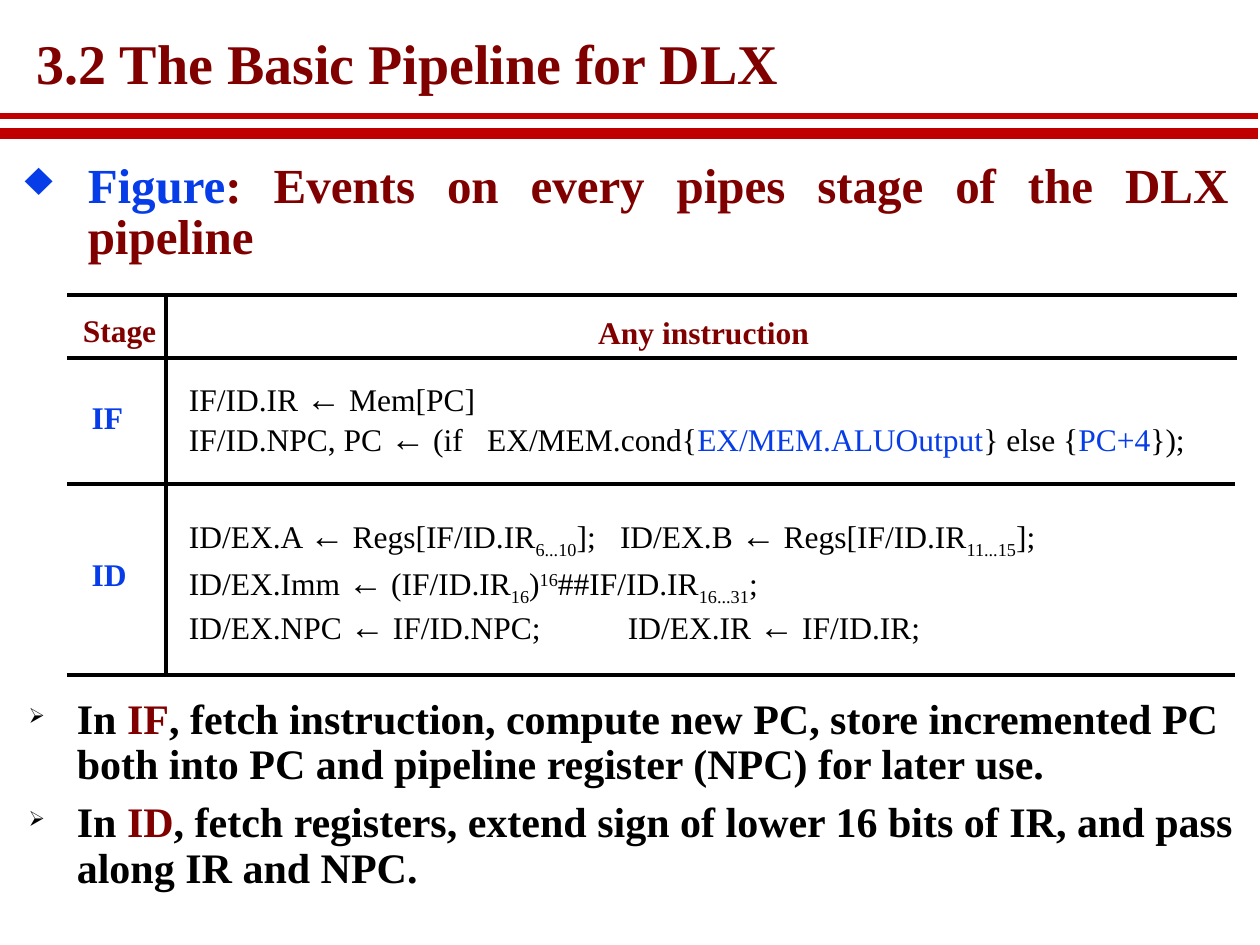
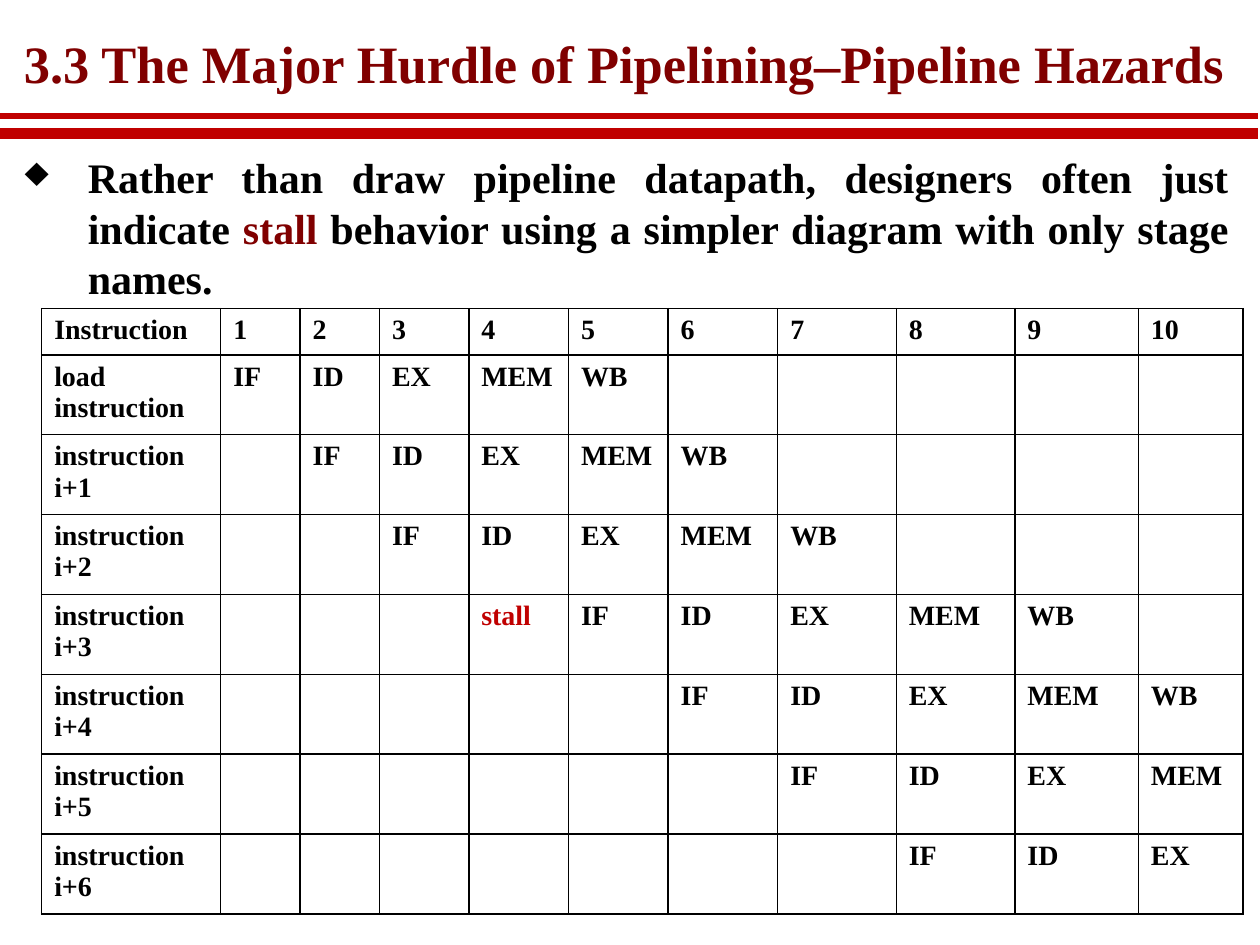
from lxml.etree import SubElement
from pptx import Presentation
from pptx.dml.color import RGBColor
from pptx.enum.shapes import MSO_CONNECTOR as Connector
from pptx.enum.text import MSO_ANCHOR as Anchor, PP_ALIGN as Align
from pptx.oxml.ns import qn
from pptx.util import Cm, Pt

FONT = "Times New Roman"
MAROON, RED, BLUE = "800000", "C00000", "063DE8"
BLACK, WHITE = "000000", "FFFFFF"
PAGE_WIDTH, PAGE_HEIGHT = 25.4, 19.05

ARROW = ("←", {"size": 20})
STAGES = ["IF", "ID", "EX", "MEM", "WB"]
CYCLES = 10


def rgb(value):
    return RGBColor.from_string(value)


def sub(text):
    return (text, {"baseline": -25})


def sup(text):
    return (text, {"baseline": 30})


def blue(text):
    return (text, {"color": BLUE})


def maroon(text):
    return (text, {"color": MAROON})


def add_span(para, text, size=18, color=BLACK, bold=False, baseline=0):
    span = para.add_run()
    span.text = text
    font = span.font
    font.name, font.size, font.bold = FONT, Pt(size), bold
    font.color.rgb = rgb(color)
    if baseline:
        span._r.get_or_add_rPr().set("baseline", str(baseline * 1000))


def write_para(para, spans, **style):
    """Write strings and (string, changes) pairs in one base style."""
    for item in [spans] if isinstance(spans, str) else spans:
        text, changes = (item, {}) if isinstance(item, str) else item
        add_span(para, text, **{**style, **changes})


def set_bullet(para, symbol, indent, percent=100):
    props = para._p.get_or_add_pPr()
    props.set("marL", str(Cm(indent)))
    props.set("indent", str(-Cm(indent)))
    SubElement(props, qn("a:buSzPct"), val=str(percent * 1000))
    SubElement(props, qn("a:buChar"), char=symbol)


def set_tab(para, position):
    stops = SubElement(para._p.get_or_add_pPr(), qn("a:tabLst"))
    SubElement(stops, qn("a:tab"), pos=str(Cm(position)), algn="l")


def add_box(page, left, top, width, height):
    box = page.shapes.add_textbox(Cm(left), Cm(top), Cm(width), Cm(height))
    box.text_frame.word_wrap = True
    return box


def add_text(page, left, top, width, height, spans, spacing=None, **style):
    box = add_box(page, left, top, width, height)
    para = box.text_frame.paragraphs[0]
    para.line_spacing = spacing
    write_para(para, spans, **style)
    return box


def add_line(page, x1, y1, x2, y2, color=BLACK, weight=2.25):
    line = page.shapes.add_connector(
        Connector.STRAIGHT, Cm(x1), Cm(y1), Cm(x2), Cm(y2))
    line.line.color.rgb = rgb(color)
    line.line.width = Pt(weight)
    SubElement(line._element.spPr, qn("a:effectLst"))


def add_page(deck, title, left, size):
    """Add a page with its title and the double red rule."""
    page = deck.slides.add_slide(deck.slide_layouts[6])
    box = add_text(page, left, 0.64, PAGE_WIDTH - left, 1.42, title,
                   spacing=0.87, size=size, color=MAROON, bold=True)
    frame = box.text_frame
    frame.vertical_anchor = Anchor.MIDDLE
    frame.margin_left = frame.margin_right = Cm(0.18)
    frame.margin_top = frame.margin_bottom = Cm(0.08)
    for y, weight in ((2.69, 6), (2.34, 3)):
        add_line(page, 0, y, 25.35, y, RED, weight)
    return page


def add_lead(page, top, height, spans, **style):
    """Add the justified diamond bullet under the title."""
    box = add_text(page, 0.25, top, 24.77, height, spans,
                   spacing=Pt(29), bold=True, **style)
    para = box.text_frame.paragraphs[0]
    para.alignment = Align.JUSTIFY
    set_bullet(para, "♦", 1.27)


def add_formulas(page, top, step, formulas):
    for index, (spans, tab) in enumerate(formulas):
        box = add_text(page, 3.56, top + index * step, 21.2, 0.94, spans,
                       spacing=0.8)
        if tab:
            set_tab(box.text_frame.paragraphs[0], tab)


def add_notes_on_stages(page, items):
    box = add_box(page, 0.33, 13.95, 24.77, 4.27)
    box.fill.solid()
    box.fill.fore_color.rgb = rgb(WHITE)
    frame = box.text_frame
    for index, spans in enumerate(items):
        para = frame.add_paragraph() if index else frame.paragraphs[0]
        para.line_spacing = 0.9
        if index:
            para.space_before = Pt(7.2)
        set_bullet(para, "➢", 0.97, percent=50)
        write_para(para, spans, size=24, bold=True)


def set_borders(cell):
    props = cell._tc.get_or_add_tcPr()
    for side in ("lnL", "lnR", "lnT", "lnB"):
        edge = SubElement(props, qn(f"a:{side}"), w=str(Pt(1)))
        fill = SubElement(edge, qn("a:solidFill"))
        SubElement(fill, qn("a:srgbClr"), val=BLACK)


def add_table(page, left, top, widths, heights, rows):
    frame = page.shapes.add_table(
        len(rows), len(widths), Cm(left), Cm(top),
        Cm(sum(widths)), Cm(sum(heights)))
    table = frame.table
    table.first_row = table.horz_banding = False
    for column, width in zip(table.columns, widths):
        column.width = Cm(width)
    for row, height, texts in zip(table.rows, heights, rows):
        row.height = Cm(height)
        for cell, text in zip(row.cells, texts):
            set_borders(cell)
            cell.fill.background()
            if text:
                write_para(cell.text_frame.paragraphs[0], text, size=16,
                           bold=True, color=RED if text == "stall" else BLACK)


def timing_row(name, start, stalled=False):
    """Lay the stages out from cycle start, cut off at the last cycle."""
    cells = [""] * (start - 1) + STAGES + [""] * CYCLES
    if stalled:
        cells[start - 2] = "stall"
    return [name] + cells[:CYCLES]


def build_events_page(deck):
    page = add_page(deck, "3.2 The Basic Pipeline for DLX", 0.56, 32)
    add_lead(page, 3.15, 2.34,
             [blue("Figure"), ": Events on every pipes stage of the DLX pipeline"],
             size=28, color=MAROON)

    for left, top, width, text, color in (
            (1.42, 6.14, 2.54, "Stage", MAROON),
            (11.81, 6.18, 6.98, "Any instruction", MAROON),
            (1.6, 7.9, 1.52, "IF", BLUE),
            (1.6, 11.07, 1.52, "ID", BLUE)):
        add_text(page, left, top, width, 1.02, text, color=color, bold=True)

    add_formulas(page, 7.62, 0.81, [
        (["IF/ID.IR ", ARROW, " Mem[PC]"], None),
        (["IF/ID.NPC, PC ", ARROW, " (if\tEX/MEM.cond{",
          blue("EX/MEM.ALUOutput"), "} else {", blue("PC+4"), "});"], 6.01),
    ])
    add_formulas(page, 10.34, 0.94, [
        (["ID/EX.A ", ARROW, " Regs[IF/ID.IR", sub("6...10"), "];\tID/EX.B ",
          ARROW, " Regs[IF/ID.IR", sub("11...15"), "];"], 8.69),
        (["ID/EX.Imm ", ARROW, " (IF/ID.IR", sub("16"), ")", sup("16"),
          "##IF/ID.IR", sub("16...31"), ";"], None),
        (["ID/EX.NPC ", ARROW, " IF/ID.NPC;\tID/EX.IR ", ARROW,
          " IF/ID.IR;"], 8.85),
    ])

    for y, right in ((5.94, 24.94), (7.21, 24.94), (9.75, 24.89), (13.61, 24.89)):
        add_line(page, 1.35, y, right, y)
    add_line(page, 3.35, 5.94, 3.35, 13.61)

    add_notes_on_stages(page, [
        ["In ", maroon("IF"), ", fetch instruction, compute new PC, store "
         "incremented PC both into PC and pipeline register (NPC) for later use."],
        ["In ", maroon("ID"), ", fetch registers, extend sign of lower 16 bits "
         "of IR, and pass along IR and NPC."],
    ])


def build_stall_page(deck):
    page = add_page(
        deck, "3.3 The Major Hurdle of Pipelining–Pipeline Hazards", 0.3, 30)
    add_lead(page, 2.92, 3.35,
             ["Rather than draw pipeline datapath, designers often just indicate ",
              maroon("stall"),
              " behavior using a simpler diagram with only stage names."],
             size=24)

    rows = [["Instruction"] + [str(cycle + 1) for cycle in range(CYCLES)],
            timing_row("load instruction", 1)]
    for number, start in enumerate((2, 3, 5, 6, 7, 8), 1):
        rows.append(timing_row(f"instruction i+{number}", start, number == 3))
    widths = [3.61, 1.6, 1.6, 1.8, 2.01, 2.01, 2.21, 2.39, 2.39, 2.49, 2.11]
    add_table(page, 0.84, 6.22, widths, [0.93] + [1.61] * 7, rows)


def main():
    deck = Presentation()
    deck.slide_width, deck.slide_height = Cm(PAGE_WIDTH), Cm(PAGE_HEIGHT)
    build_events_page(deck)
    build_stall_page(deck)
    deck.save("out.pptx")


if __name__ == "__main__":
    main()
